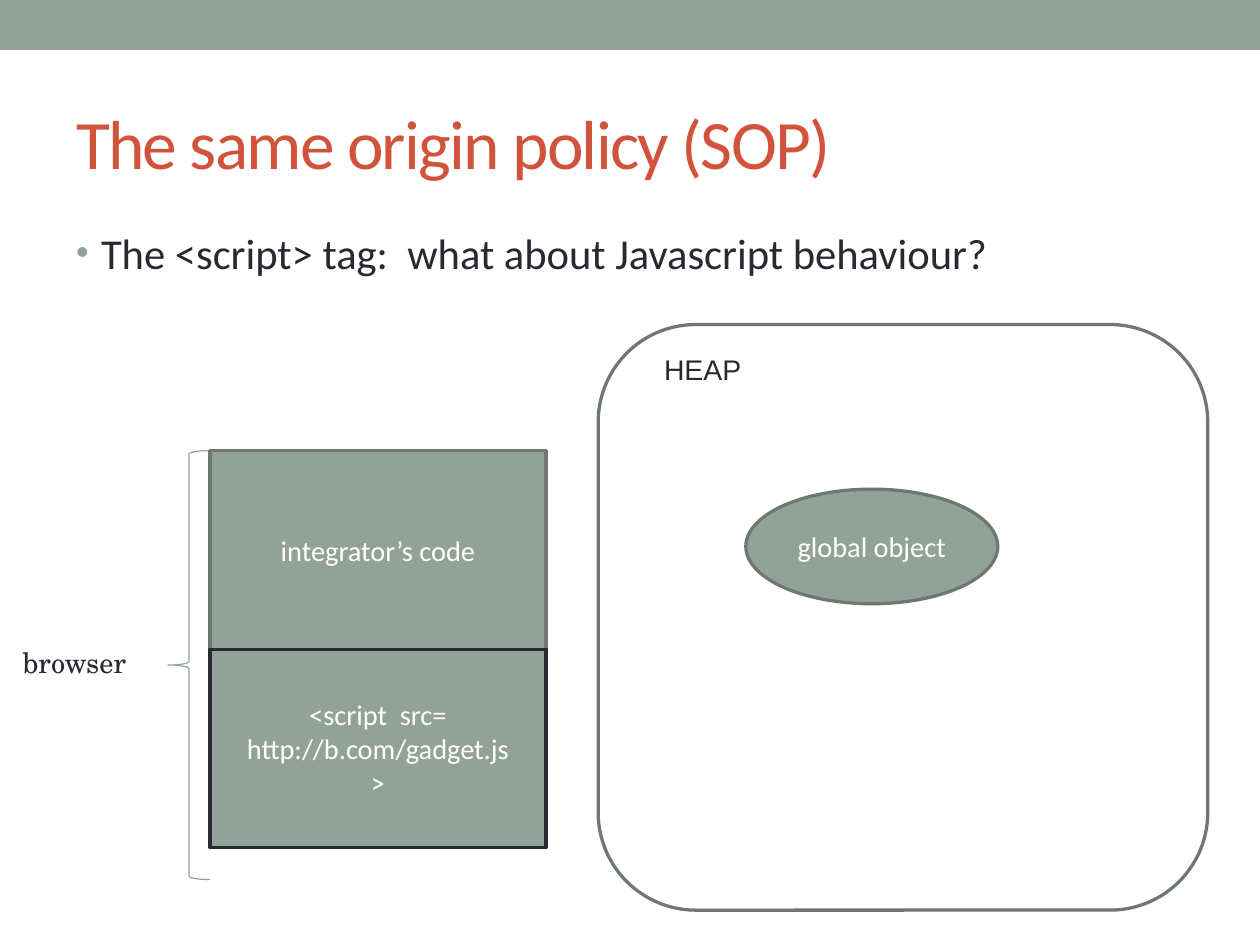
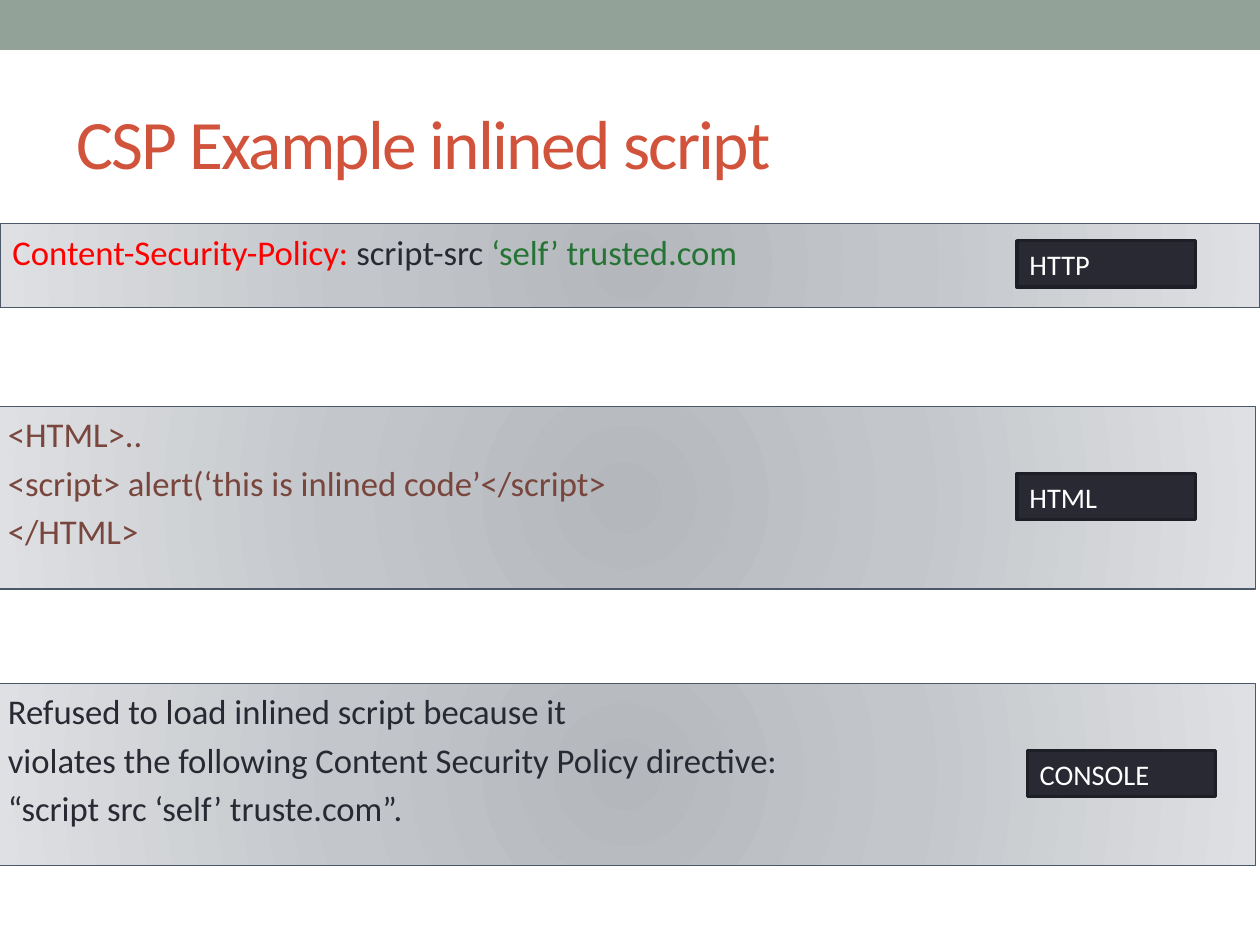
import pptx
import pptx.dml.color
import pptx.enum.shapes
import pptx.enum.text
import pptx.oxml
import pptx.oxml.ns
import pptx.util
from lxml import etree

Inches = pptx.util.Inches
SHAPE = pptx.enum.shapes.MSO_SHAPE
ALIGN = pptx.enum.text.PP_ALIGN
ANCHOR = pptx.enum.text.MSO_ANCHOR
FIT = pptx.enum.text.MSO_AUTO_SIZE

# Shared look
WIDTH, HEIGHT = 11.1, 8.3
SAGE, SAGE_EDGE, INK, INK_EDGE = "93A299", "6D7871", "292934", "1E1E26"
BRICK, SLATE, WHITE = "D2533C", "4A5868", "FFFFFF"
RED, GREEN, BROWN = "FF0000", "267435", "79463D"
PANEL_STOPS = [(0, "B4B7BC"), (45, "C3C7CB"), (100, "DFE0E3")]
EDGE = 2.08
TITLE_BOX = (0.56, 0.65, 9.99, 1.2)
FRAME = {
    "margin_left": Inches(0.11), "margin_right": Inches(0.11),
    "margin_top": Inches(0.06), "margin_bottom": Inches(0.06),
    "word_wrap": True,
}


def rgb(value):
    return pptx.dml.color.RGBColor.from_string(value)


def apply(target, values):
    for name, value in values.items():
        setattr(target, name, value)


def place(shape, box):
    apply(shape, dict(zip(("left", "top", "width", "height"), map(Inches, box))))


def add_child(parent, tag, **attributes):
    child = etree.SubElement(parent, pptx.oxml.ns.qn(tag))
    for name, value in attributes.items():
        child.set(name, str(value))
    return child


def outline(shape, color, width):
    shape.line.color.rgb = rgb(color)
    shape.line.width = pptx.util.Pt(width)


def draw(slide, kind, box, fill=None, line=None, line_width=EDGE):
    shape = slide.shapes.add_shape(kind, *map(Inches, box))
    shape.shadow.inherit = False
    if fill:
        shape.fill.solid()
        shape.fill.fore_color.rgb = rgb(fill)
    else:
        shape.fill.background()
    if line:
        outline(shape, line, line_width)
    else:
        shape.line.fill.background()
    return shape


def write(shape, paragraphs, size, font="Calibri", align=ALIGN.LEFT,
          anchor=ANCHOR.TOP, fit=FIT.NONE):
    """Fill a shape with paragraphs, each a list of (text, colour) runs."""
    frame = shape.text_frame
    apply(frame, FRAME | {"vertical_anchor": anchor, "auto_size": fit})
    for number, runs in enumerate(paragraphs):
        paragraph = frame.add_paragraph() if number else frame.paragraphs[0]
        paragraph.alignment = align
        for text, color in runs:
            run = paragraph.add_run()
            run.text = text
            apply(run.font, {"size": pptx.util.Pt(size), "name": font})
            run.font.color.rgb = rgb(color)


def list_format(shape, indent, bullet=None):
    """Hanging indent and 20 % space before, with or without a bullet."""
    for paragraph in shape.text_frame.paragraphs:
        properties = paragraph._p.get_or_add_pPr()
        properties.set("marL", str(Inches(indent)))
        properties.set("indent", str(-Inches(indent)))
        add_child(add_child(properties, "a:spcBef"), "a:spcPct", val=20000)
        if bullet:
            add_child(add_child(properties, "a:buClr"), "a:srgbClr", val=SAGE)
            add_child(properties, "a:buSzPct", val=85000)
            add_child(properties, "a:buFont", typeface="Arial")
            add_child(properties, "a:buChar", char=bullet)
        else:
            add_child(properties, "a:buNone")


def radial_fill(shape):
    shape.fill.gradient()
    gradient = shape.element.spPr.find(pptx.oxml.ns.qn("a:gradFill"))
    for child in list(gradient):
        gradient.remove(child)
    stops = add_child(gradient, "a:gsLst")
    for percent, color in PANEL_STOPS:
        stop = add_child(stops, "a:gs", pos=percent * 1000)
        add_child(stop, "a:srgbClr", val=color)
    circle = add_child(gradient, "a:path", path="circle")
    add_child(circle, "a:fillToRect", l=100000, t=100000, r=100000, b=100000)


def add_master_band(prs, slide):
    band = draw(slide, SHAPE.RECTANGLE, (0, 0, WIDTH, 0.44), SAGE)
    prs.slide_master.shapes.element.insert(2, band.element)


def titled_slide(prs, title):
    slide = prs.slides.add_slide(prs.slide_layouts[1])
    heading = slide.shapes.title
    place(heading, TITLE_BOX)
    write(heading, [[(title, BRICK)]], 44, anchor=ANCHOR.MIDDLE)
    for run in heading.text_frame.paragraphs[0].runs:
        run.font._element.set("spc", "-110")
    return slide


def label(slide, box, text, font):
    caption = slide.shapes.add_textbox(*map(Inches, box))
    write(caption, [[(text, INK)]], 18, font, fit=FIT.SHAPE_TO_FIT_TEXT)


def node(slide, kind, box, lines, edge=SAGE_EDGE):
    shape = draw(slide, kind, box, SAGE, edge)
    write(shape, [[(line, WHITE)] for line in lines], 18,
          align=ALIGN.CENTER, anchor=ANCHOR.MIDDLE)


# Regions of the origin policy slide
def browser_stack(slide, box):
    left, top, width, height = box
    brace_width, block_height = 0.37, 1.75
    draw(slide, SHAPE.LEFT_BRACE, (left, top, brace_width, height),
         line=SAGE, line_width=0.75)
    label(slide, (left - 1.39, top + 1.65, 1.39, 0.41), "browser", "TeX Gyre Schola")
    blocks = [
        (["integrator’s code"], SAGE_EDGE),
        (["<script  src=", "http://b.com/gadget.js", ">"], INK),
    ]
    for row, (lines, edge) in enumerate(blocks):
        node(slide, SHAPE.RECTANGLE,
             (left + brace_width, top + row * block_height,
              width - brace_width, block_height), lines, edge)


def heap(slide, box):
    left, top = box[:2]
    draw(slide, SHAPE.ROUNDED_RECTANGLE, box, line=SAGE_EDGE)
    label(slide, (left + 0.47, top + 0.18, 1.94, 0.41), "HEAP", "Arial")
    node(slide, SHAPE.OVAL, (left + 1.3, top + 1.45, 2.22, 1.01), ["global object"])


def origin_policy_slide(prs):
    slide = titled_slide(prs, "The same origin policy (SOP)")
    question = slide.placeholders[1]
    place(question, (0.56, 1.94, 9.06, 5.9))
    write(question, [[("The <script> tag:  what about Javascript behaviour?", INK)]], 27)
    list_format(question, 0.22, "•")
    browser_stack(slide, (1.48, 3.97, 3.33, 3.78))
    heap(slide, (5.27, 2.86, 5.37, 5.16))
    return slide


# Regions of the security policy slide
def code_panel(slide, panel, box, lines, indent, badge, badge_box):
    """Style a panel and put its badge at an offset from the panel's corner."""
    place(panel, box)
    radial_fill(panel)
    outline(panel, SLATE, 0.75)
    write(panel, lines, 22)
    list_format(panel, indent)
    x, y, width = badge_box
    tag = draw(slide, SHAPE.RECTANGLE, (box[0] + x, box[1] + y, width, 0.41),
               INK, INK_EDGE)
    write(tag, [[(badge, WHITE)]], 18, fit=FIT.SHAPE_TO_FIT_TEXT)


def csp_slide(prs):
    slide = titled_slide(prs, "CSP Example inlined script")
    header = [("Content-Security-Policy:", RED), (" script-src ", INK),
              ("‘self’ trusted.com", GREEN)]
    code_panel(slide, slide.placeholders[1], (0, 1.97, WIDTH, 0.74),
               [header], 0.22, "HTTP", (8.96, 0.15, 1.57))
    panels = [
        (3.58, BROWN, "HTML", (9, 0.59, 1.57),
         ["<HTML>..", "<script> alert(‘this is inlined code’</script>", "</HTML>"]),
        (6.02, INK, "CONSOLE", (9.09, 0.59, 1.66),
         ["Refused to load inlined script because it",
          "violates the following Content Security Policy directive:",
          "“script src ‘self’ truste.com”."]),
    ]
    for top, color, badge, badge_box, lines in panels:
        box = (-0.04, top, WIDTH, 1.61)
        code_panel(slide, draw(slide, SHAPE.RECTANGLE, box), box,
                   [[(line, color)] for line in lines], 0.41, badge, badge_box)


def main():
    prs = pptx.Presentation()
    prs.slide_width, prs.slide_height = Inches(WIDTH), Inches(HEIGHT)
    add_master_band(prs, origin_policy_slide(prs))
    csp_slide(prs)
    prs.save("out.pptx")


if __name__ == "__main__":
    main()
